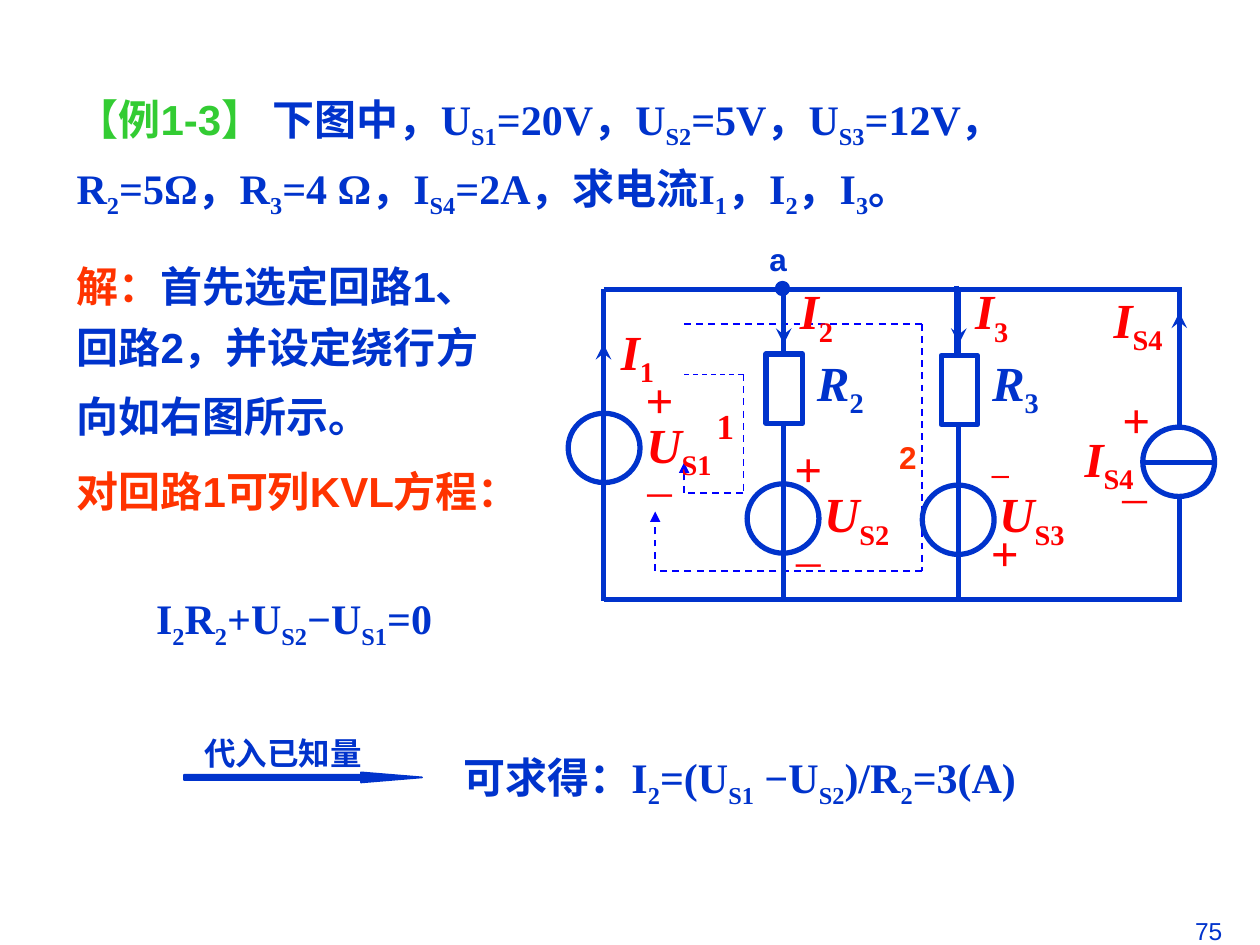
from lxml import etree
from pptx import Presentation
from pptx.dml.color import RGBColor
from pptx.enum.dml import MSO_LINE
from pptx.enum.shapes import MSO_CONNECTOR, MSO_SHAPE
from pptx.enum.text import MSO_ANCHOR, MSO_AUTO_SIZE, PP_ALIGN
from pptx.oxml.ns import qn
from pptx.util import Inches, Pt

BLUE = RGBColor(0x00, 0x33, 0xCC)
LOOP_BLUE = RGBColor(0x00, 0x00, 0xFF)
RED = RGBColor(0xFF, 0x00, 0x00)
ORANGE = RGBColor(0xFF, 0x33, 0x00)
GREEN = RGBColor(0x33, 0xCC, 0x33)
WHITE = RGBColor(0xFF, 0xFF, 0xFF)
SANS, SERIF = "Arial", "Times New Roman"
LEFT, CENTER, RIGHT = PP_ALIGN.LEFT, PP_ALIGN.CENTER, PP_ALIGN.RIGHT
TOP, MIDDLE = MSO_ANCHOR.TOP, MSO_ANCHOR.MIDDLE
FIT = MSO_AUTO_SIZE.SHAPE_TO_FIT_TEXT
STRAIGHT, DASH = MSO_CONNECTOR.STRAIGHT, MSO_LINE.DASH
ELLIPSE, RECTANGLE, ARROW = MSO_SHAPE.OVAL, MSO_SHAPE.RECTANGLE, MSO_SHAPE.RIGHT_ARROW


class Board:
    def __init__(self, slide):
        self.slide = slide
        self.shapes = slide.shapes

    def group(self):
        self.shapes = self.slide.shapes.add_group_shape().shapes

    def ungroup(self):
        self.shapes = self.slide.shapes

    def span(self, para, text, size=24, font=SERIF, color=BLUE, bold=True,
             italic=False, sub=False):
        span = para.add_run()
        span.text = text
        span.font.size = Pt(size)
        span.font.name = font
        span.font.color.rgb = color
        span.font.bold = bold
        span.font.italic = italic
        if sub:
            span.font._element.set("baseline", "-25000")

    def formula(self, para, text, **style):
        for index, part in enumerate(text.split("|")):
            self.span(para, part, sub=index % 2 == 1, **style)

    def box(self, left, top, width, height, align=LEFT, anchor=TOP, spacing=None):
        box = self.shapes.add_textbox(
            Inches(left), Inches(top), Inches(width), Inches(height))
        frame = box.text_frame
        frame.word_wrap = True
        frame.auto_size = FIT
        frame.vertical_anchor = anchor
        para = frame.paragraphs[0]
        para.alignment = align
        para.line_spacing = spacing
        return para, frame

    def label(self, text, left, top, width, height, align=LEFT, **style):
        para, _ = self.box(left, top, width, height, align)
        self.span(para, text, **style)

    def symbol(self, name, index, left, top, width=0.64, color=RED,
               align=LEFT, anchor=TOP):
        para, _ = self.box(left, top, width, 0.63, align, anchor)
        self.span(para, name, size=28, color=color, italic=True)
        self.span(para, index, size=28, color=color, sub=True)

    def polarity(self, left, top, height, upper, lower):
        para, frame = self.box(left, top, 0.57, height, CENTER, MIDDLE)
        self.span(para, color=RED, **upper)
        para = frame.add_paragraph()
        para.alignment = CENTER
        para.space_before = Pt(17.5)
        self.span(para, color=RED, **lower)

    def line(self, x1, y1, x2, y2, color=BLUE, width=3, dash=None, head=None, tail=None):
        line = self.shapes.add_connector(
            STRAIGHT, Inches(x1), Inches(y1), Inches(x2), Inches(y2))
        line.line.color.rgb = color
        line.line.width = Pt(width)
        if dash:
            line.line.dash_style = dash
        outline = line.line._get_or_add_ln()
        for tag, kind in (("a:headEnd", head), ("a:tailEnd", tail)):
            if kind:
                etree.SubElement(outline, qn(tag)).set("type", kind)
        etree.SubElement(line._element.spPr, qn("a:effectLst"))

    def loop(self, points, first_width=1):
        last = len(points) - 2
        for index, (start, end) in enumerate(zip(points, points[1:])):
            self.line(*start, *end, LOOP_BLUE, 1 if index else first_width,
                      DASH, tail="triangle" if index == last else None)

    def shape(self, kind, left, top, width, height, fill=None, border=3):
        shape = self.shapes.add_shape(
            kind, Inches(left), Inches(top), Inches(width), Inches(height))
        shape.shadow.inherit = False
        if fill is None:
            shape.fill.background()
        else:
            shape.fill.solid()
            shape.fill.fore_color.rgb = fill
        shape.line.color.rgb = BLUE
        shape.line.width = Pt(border)
        return shape

    def source(self, left, top, fill=None):
        self.shape(ELLIPSE, left, top, 0.57, 0.55, fill)

    def branch(self, x, top, index):
        self.source(x - 0.29, top + 1.56)
        self.line(x, top + 1.09, x, top + 2.46)
        self.shape(RECTANGLE, x - 0.14, top + 0.53, 0.29, 0.55, WHITE)
        self.line(x, top, x, top + 0.55)
        self.symbol("U", "S" + index, x + 0.15, 3.79, 0.86, align=CENTER, anchor=MIDDLE)
        self.symbol("R", index, x + 0.1, 2.75, 0.7, BLUE, CENTER, MIDDLE)
        self.line(x, 2.41, x, 2.73, tail="stealth")
        self.symbol("I", index, x + 0.03, 2.18)


def draw_circuit(board):
    plus = {"text": "+", "size": 28}
    minus = {"text": "–", "size": 28, "bold": False}
    small_minus = {"text": "– ", "size": 18, "font": SANS, "bold": False}
    board.group()
    board.loop([(5.43, 2.97), (5.9, 2.97), (5.9, 3.91), (5.43, 3.91), (5.43, 3.67)], 0.75)
    board.loop([(5.43, 2.57), (7.32, 2.57), (7.32, 4.53), (5.2, 4.53), (5.2, 4.06)])
    board.label("1", 5.59, 3.16, 0.64, 0.44, size=20, color=RED)
    board.label("2", 6.93, 3.43, 0.55, 0.4, CENTER, size=18, font=SANS, color=ORANGE)

    for x in (4.79, 9.36):
        board.line(x, 2.29, x, 4.77)
    for y in (2.3, 4.76):
        board.line(4.79, y, 9.38, y)

    board.source(4.51, 3.28)
    board.polarity(4.95, 2.88, 1.28, plus, minus)
    board.symbol("U", "S1", 4.96, 3.24, 0.86, align=CENTER, anchor=MIDDLE)
    board.line(4.79, 2.73, 4.79, 3.04, head="stealth")
    board.symbol("I", "1", 4.83, 2.5)

    board.branch(6.22, 2.28, "2")
    board.polarity(6.13, 3.43, 1.28, plus, minus)
    board.branch(7.61, 2.29, "3")
    board.line(7.59, 2.27, 7.59, 2.82)
    board.polarity(7.69, 3.55, 1.11, small_minus, plus)

    board.source(9.07, 3.39, WHITE)
    board.line(9.06, 3.67, 9.63, 3.67)
    board.line(9.36, 2.48, 9.36, 2.8, head="stealth")
    board.symbol("I", "S4", 8.74, 2.25)
    board.symbol("I", "S4", 8.51, 3.35, 0.71)
    board.label("+", 8.81, 3.04, 0.47, 0.57, size=28, color=RED)
    board.label("_", 8.81, 3.51, 0.56, 0.57, size=28, color=RED, bold=False)

    board.shape(ELLIPSE, 6.17, 2.25, 0.08, 0.08, BLUE)
    board.label("a", 5.9, 1.86, 0.55, 0.4, CENTER, size=18, font=SANS)
    board.ungroup()


def draw_solution(board):
    para, _ = board.box(0.51, 1.94, 3.62, 1.62, spacing=1.2)
    board.span(para, "解：", font=SANS, color=ORANGE)
    board.span(para, "首先选定回路1、回路2，并设定绕行方向如右图所示。", font=SANS)
    board.span(para, " ", size=28)

    para, _ = board.box(0.51, 3.59, 4.09, 0.57)
    board.span(para, "对回路1可列KVL方程：", font=SANS, color=ORANGE)
    board.span(para, " ", size=28)

    para, _ = board.box(1.14, 4.6, 2.52, 0.61)
    board.formula(para, "I|2|R|2|+U|S2|−U|S1|=0")
    board.span(para, " ", size=28)

    board.group()
    arrow = board.shape(ARROW, 1.46, 6.13, 1.89, 0.08, BLUE, 1)
    arrow.adjustments[0] = 0.5
    arrow.adjustments[1] = 6.06
    board.label("代入已知量", 1.46, 5.78, 1.57, 0.4, CENTER, size=18, font=SANS)
    board.ungroup()

    para, _ = board.box(3.58, 5.86, 4.88, 0.61)
    board.formula(para, "可求得：I|2|=(U|S1| −U|S2|)/R|2|=3(A)")
    board.span(para, " ", size=28)


def main():
    deck = Presentation()
    deck.slide_width, deck.slide_height = Inches(10), Inches(7.5)
    board = Board(deck.slides.add_slide(deck.slide_layouts[6]))
    board.label("75", 7.3, 7.22, 2.5, 0.52, RIGHT, size=14, font=SANS, bold=False)
    para, _ = board.box(0.51, 0.6, 8.51, 1.19, spacing=1.2)
    board.span(para, "【例1-3】 ", font=SANS, color=GREEN)
    board.formula(para, "下图中，U|S1|=20V，U|S2|=5V，U|S3|=12V，R|2|=5Ω，R|3|=4 Ω，"
                        "I|S4|=2A，求电流I|1|，I|2|，I|3|。")
    draw_circuit(board)
    draw_solution(board)
    deck.save("out.pptx")


if __name__ == "__main__":
    main()
